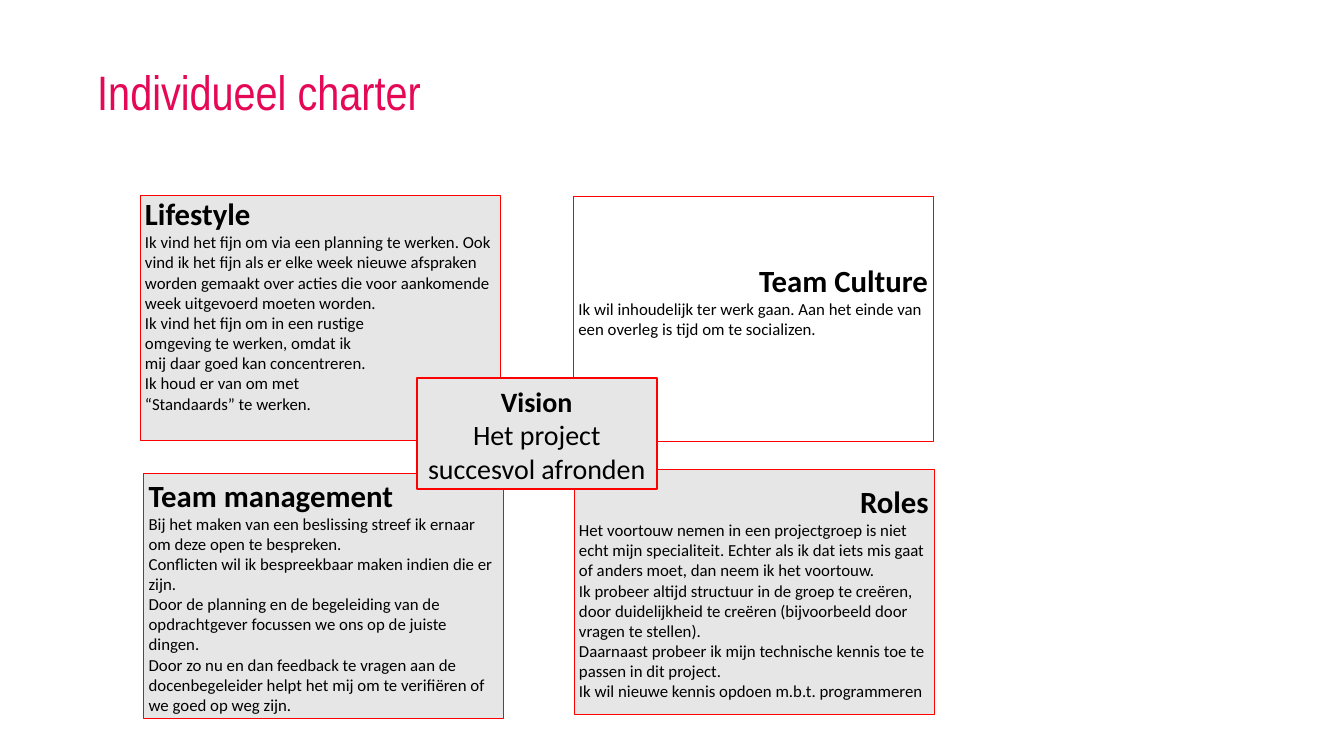
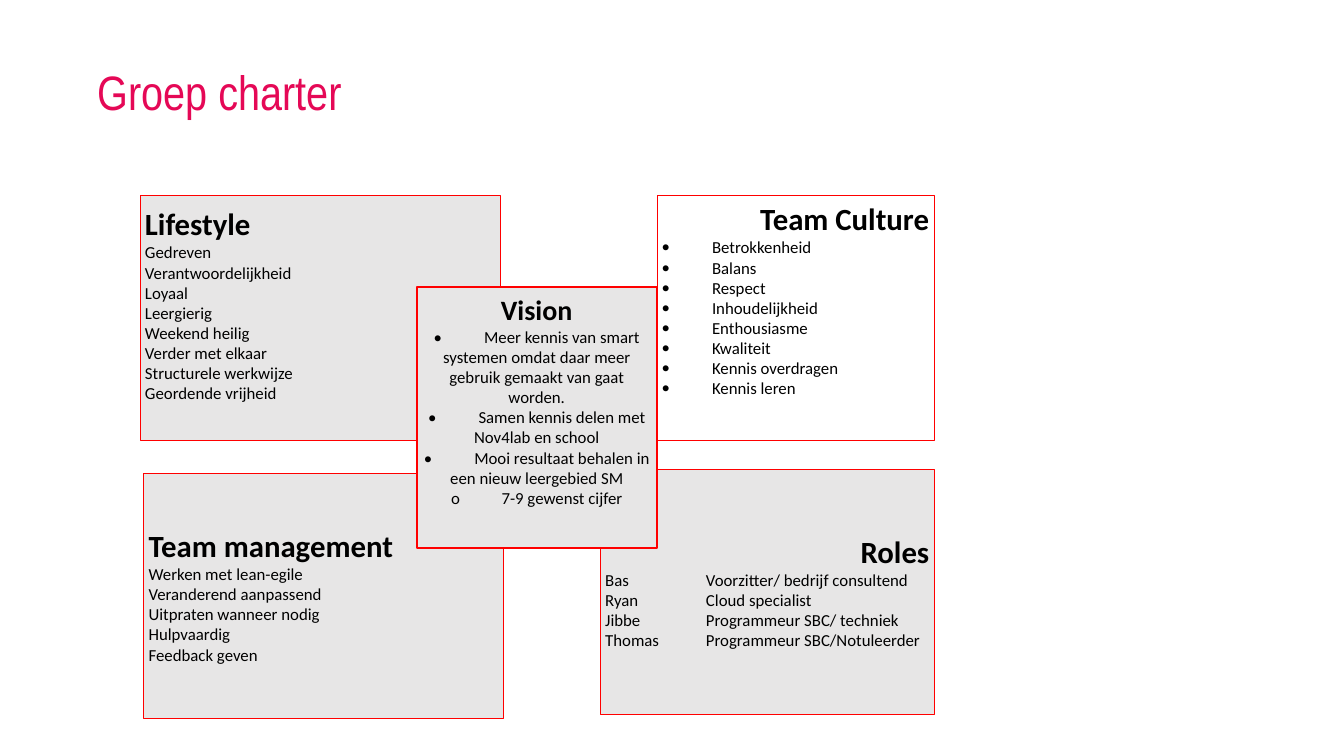
from dataclasses import dataclass
from functools import partial

from lxml.etree import SubElement
from pptx import Presentation
from pptx.dml.color import RGBColor
from pptx.enum.shapes import MSO_SHAPE
from pptx.enum.text import MSO_ANCHOR, MSO_AUTO_SIZE, PP_ALIGN
from pptx.oxml.ns import qn
from pptx.util import Inches, Pt


@dataclass(frozen=True)
class Theme:
    accent: str = "E50856"
    ink: str = "000000"
    grey: str = "E7E6E6"
    white: str = "FFFFFF"
    edge: str = "FF0000"
    title_font: str = "Arial Narrow"
    body_font: str = "Calibri"
    title_size: int = 69
    heading_size: int = 44
    vision_size: int = 40
    body_size: int = 24
    thin: float = 0.5
    thick: float = 3


@dataclass(frozen=True)
class Box:
    column: float
    row: float
    columns: float
    rows: float


THEME = Theme()
WIDTH, HEIGHT = Inches(26.67), Inches(15)
COLUMN, ROW = WIDTH / 100, HEIGHT / 100
PANEL_COLUMNS, PANEL_ROWS = 26.77, 32.4
TITLE_BOX = Box(6.86, 5.2, 86.24, 11.07)
LIFESTYLE_BOX = Box(10.42, 25.8, PANEL_COLUMNS, PANEL_ROWS)
MANAGEMENT_BOX = Box(10.69, 62.6, PANEL_COLUMNS, PANEL_ROWS)


def set_all(target, values):
    for name, value in values.items():
        setattr(target, name, value)


def place(shape, box):
    set_all(shape, {
        "left": round(box.column * COLUMN),
        "top": round(box.row * ROW),
        "width": round(box.columns * COLUMN),
        "height": round(box.rows * ROW),
    })


def write(para, text, size, font, color, bold=False, align=PP_ALIGN.LEFT):
    para.alignment = align
    span = para.add_run()
    span.text = text
    set_all(span.font, {"size": Pt(size), "name": font, "bold": bold})
    span.font.color.rgb = RGBColor.from_string(color)


def add_bullet(para):
    properties = para._p.get_or_add_pPr()
    properties.set("marL", str(Inches(1)))
    properties.set("indent", str(-Inches(1)))
    SubElement(properties, qn("a:buFont")).set("typeface", THEME.body_font)
    SubElement(properties, qn("a:buChar")).set("char", "•")


def add_tab_stop(para, columns):
    stops = SubElement(para._p.get_or_add_pPr(), qn("a:tabLst"))
    stop = SubElement(stops, qn("a:tab"))
    stop.set("pos", str(round(columns * COLUMN)))
    stop.set("algn", "l")


def add_title(page, box, text):
    title = page.shapes.title
    place(title, box)
    frame = title.text_frame
    set_all(frame, {
        "vertical_anchor": MSO_ANCHOR.BOTTOM,
        "auto_size": MSO_AUTO_SIZE.NONE,
        "word_wrap": True,
    })
    para = frame.paragraphs[0]
    para.line_spacing = 0.9
    write(para, text, THEME.title_size, THEME.title_font, THEME.accent)


def add_panel(page, box, heading, lines, drop=0, fill=THEME.grey, edge=THEME.thin,
              heading_size=THEME.heading_size, heading_align=PP_ALIGN.LEFT,
              body_size=THEME.body_size, body_align=PP_ALIGN.LEFT, layout=None):
    panel = page.shapes.add_shape(MSO_SHAPE.RECTANGLE, 0, 0, 0, 0)
    place(panel, box)
    panel.shadow.inherit = False
    panel.fill.solid()
    panel.fill.fore_color.rgb = RGBColor.from_string(fill)
    panel.line.color.rgb = RGBColor.from_string(THEME.edge)
    panel.line.width = Pt(edge)
    frame = panel.text_frame
    set_all(frame, {
        "word_wrap": True,
        "vertical_anchor": MSO_ANCHOR.TOP,
        "margin_left": Inches(0.1),
        "margin_right": Inches(0.1),
        "margin_top": round(drop * ROW),
        "margin_bottom": 0,
    })
    write(frame.paragraphs[0], heading, heading_size, THEME.body_font, THEME.ink,
          True, heading_align)
    for line in lines:
        para = frame.add_paragraph()
        write(para, line, body_size, THEME.body_font, THEME.ink, align=body_align)
        if layout:
            layout(para)


def add_vision(page, box, lines, body_size, layout=None):
    add_panel(page, box, "Vision", lines, 0.8, edge=THEME.thick,
              heading_size=THEME.vision_size, heading_align=PP_ALIGN.CENTER,
              body_size=body_size, body_align=PP_ALIGN.CENTER, layout=layout)


def add_charter(deck, charter):
    page = deck.slides.add_slide(deck.slide_layouts[5])
    add_title(page, TITLE_BOX, charter["title"])
    right = {"heading_align": PP_ALIGN.RIGHT}
    add_panel(page, LIFESTYLE_BOX, "Lifestyle", **charter["lifestyle"])
    add_panel(page, heading="Team Culture", fill=THEME.white, **right, **charter["culture"])
    add_panel(page, MANAGEMENT_BOX, "Team management", **charter["management"])
    add_panel(page, heading="Roles", **right, **charter["roles"])
    add_vision(page, **charter["vision"])


INDIVIDUAL = {
    "title": "Individueel charter",
    "lifestyle": {"lines": [
        "Ik vind het fijn om via een planning te werken. Ook vind ik het fijn als er elke "
        "week nieuwe afspraken worden gemaakt over acties die voor aankomende week "
        "uitgevoerd moeten worden.",
        "Ik vind het fijn om in een rustige",
        "omgeving te werken, omdat ik",
        "mij daar goed kan concentreren.",
        "Ik houd er van om met",
        "“Standaards” te werken.",
    ]},
    "culture": {
        "box": Box(42.67, 25.93, PANEL_COLUMNS, PANEL_ROWS),
        "drop": 8.67,
        "lines": ["Ik wil inhoudelijk ter werk gaan. Aan het einde van een overleg is tijd "
                  "om te socializen."],
    },
    "management": {"drop": 0.4, "lines": [
        "Bij het maken van een beslissing streef ik ernaar om deze open te bespreken.",
        "Conflicten wil ik bespreekbaar maken indien die er zijn.",
        "Door de planning en de begeleiding van de opdrachtgever focussen we ons op de "
        "juiste dingen.",
        "Door zo nu en dan feedback te vragen aan de docenbegeleider helpt het mij om te "
        "verifiëren of we goed op weg zijn.",
    ]},
    "roles": {
        "box": Box(42.71, 62.07, PANEL_COLUMNS, PANEL_ROWS),
        "drop": 1.8,
        "lines": [
            "Het voortouw nemen in een projectgroep is niet echt mijn specialiteit. Echter "
            "als ik dat iets mis gaat of anders moet, dan neem ik het voortouw.",
            "Ik probeer altijd structuur in de groep te creëren, door duidelijkheid te "
            "creëren (bijvoorbeeld door vragen te stellen).",
            "Daarnaast probeer ik mijn technische kennis toe te passen in dit project.",
            "Ik wil nieuwe kennis opdoen m.b.t. programmeren",
        ],
    },
    "vision": {
        "box": Box(31.01, 50, 17.85, 14.73),
        "lines": ["Het project succesvol afronden"],
        "body_size": THEME.vision_size,
    },
}

GROUP = {
    "title": "Groep charter",
    "lifestyle": {"drop": 1.33, "lines": [
        "Gedreven", "Verantwoordelijkheid", "Loyaal", "Leergierig", "Weekend heilig",
        "Verder met elkaar", "Structurele werkwijze", "Geordende vrijheid",
    ]},
    "culture": {
        "box": Box(48.86, 25.8, 20.66, PANEL_ROWS),
        "drop": 0.67,
        "lines": ["Betrokkenheid", "Balans", "Respect", "Inhoudelijkheid", "Enthousiasme",
                  "Kwaliteit", "Kennis overdragen", "Kennis leren"],
        "layout": add_bullet,
    },
    "management": {"drop": 7.07, "lines": [
        "Werken met lean-egile", "Veranderend aanpassend", "Uitpraten wanneer nodig",
        "Hulpvaardig", "Feedback geven",
    ]},
    "roles": {
        "box": Box(44.66, 62.07, 24.86, PANEL_ROWS),
        "drop": 8.4,
        "lines": ["Bas\tVoorzitter/ bedrijf consultend", "Ryan\tCloud specialist",
                  "Jibbe\tProgrammeur SBC/ techniek", "Thomas\tProgrammeur SBC/Notuleerder"],
        "layout": partial(add_tab_stop, columns=7.5),
    },
    "vision": {
        "box": Box(31.01, 37.93, 17.85, 34.6),
        "lines": [
            "•\tMeer kennis van smart systemen omdat daar meer gebruik gemaakt van gaat worden.",
            "•\tSamen kennis delen met Nov4lab en school",
            "•\tMooi resultaat behalen in een nieuw leergebied SM",
            "o\t7-9 gewenst cijfer",
        ],
        "body_size": THEME.body_size,
        "layout": partial(add_tab_stop, columns=3.75),
    },
}

deck = Presentation()
set_all(deck, {"slide_width": WIDTH, "slide_height": HEIGHT})
for charter in (INDIVIDUAL, GROUP):
    add_charter(deck, charter)
deck.save("out.pptx")
